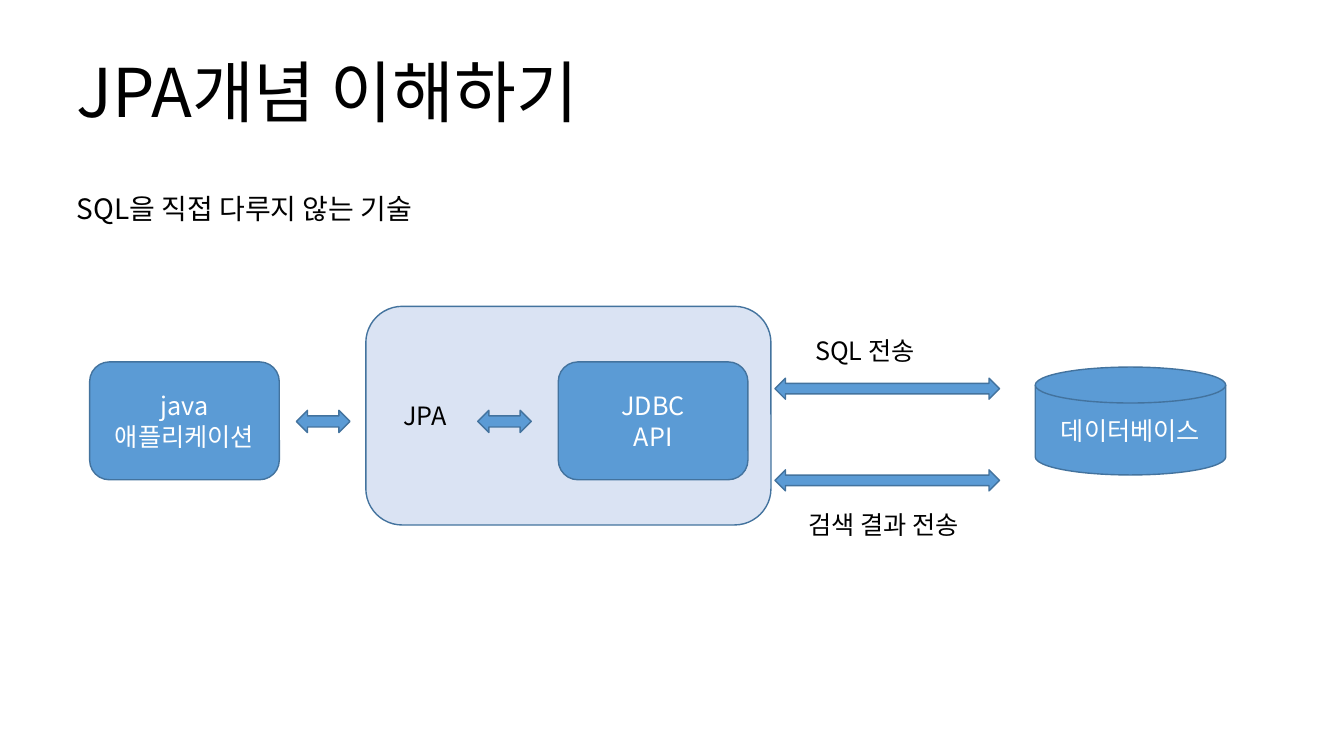
from lxml.etree import SubElement
from pptx import Presentation
from pptx.dml.color import RGBColor
from pptx.enum.shapes import MSO_SHAPE
from pptx.enum.text import MSO_ANCHOR, PP_ALIGN
from pptx.oxml.ns import qn
from pptx.util import Cm, Pt

FONT = "Noto Sans CJK KR"
COLORS = {
    "blue": "5B9BD5",
    "edge": "43739E",
    "pale": "DAE3F3",
    "white": "FFFFFF",
    "black": "000000",
}


def color(name):
    return RGBColor.from_string(COLORS[name])


def write(shape, text, size, ink, align, anchor, space=1.0):
    frame = shape.text_frame
    frame.word_wrap = True
    frame.vertical_anchor = anchor
    frame.text = text
    for para in frame.paragraphs:
        para.alignment = align
        para.line_spacing = space
        font = para.font
        font.name = FONT
        font.size = Pt(size)
        font.color.rgb = color(ink)
        # Hangul takes the East Asian typeface
        props = para._p.pPr.find(qn("a:defRPr"))
        SubElement(props, qn("a:ea"), typeface=FONT)


def label(slide, box, text, size=18, anchor=MSO_ANCHOR.TOP, space=1.0):
    area = slide.shapes.add_textbox(*map(Cm, box))
    write(area, text, size, "black", PP_ALIGN.LEFT, anchor, space)


def block(slide, kind, box, fill="blue"):
    shape = slide.shapes.add_shape(kind, *map(Cm, box))
    shape.shadow.inherit = False
    shape.fill.solid()
    shape.fill.fore_color.rgb = color(fill)
    shape.line.color.rgb = color("edge")
    shape.line.width = Pt(1)
    return shape


def node(slide, kind, box, text):
    shape = block(slide, kind, box)
    write(shape, text, 18, "white", PP_ALIGN.CENTER, MSO_ANCHOR.MIDDLE)


def layer(slide, box, text):
    shape = block(slide, MSO_SHAPE.ROUNDED_RECTANGLE, box, "pale")
    write(shape, text, 18, "black", PP_ALIGN.LEFT, MSO_ANCHOR.MIDDLE)
    shape.text_frame.margin_left = Cm(0.68)


def main():
    deck = Presentation()
    deck.slide_width, deck.slide_height = Cm(33.87), Cm(19.05)
    slide = deck.slides.add_slide(deck.slide_layouts[6])

    # Heading
    label(slide, (1.68, 1.17, 29.21, 2.29), "JPA개념 이해하기",
          48, MSO_ANCHOR.BOTTOM, 0.9)
    label(slide, (1.68, 4.27, 31.06, 1.55), "SQL을 직접 다루지 않는 기술",
          20, space=1.5)

    # Application, JPA layer and database
    layer(slide, (9.22, 7.72, 10.21, 5.51), "JPA")
    for left, text in ((2.26, "java\n애플리케이션"), (14.07, "JDBC\nAPI")):
        node(slide, MSO_SHAPE.ROUNDED_RECTANGLE, (left, 9.12, 4.78, 2.97), text)
    node(slide, MSO_SHAPE.FLOWCHART_MAGNETIC_DISK,
         (26.09, 9.25, 4.8, 2.72), "데이터베이스")

    # Arrows: short between the parts, long to the database
    for left in (7.47, 12.04):
        block(slide, MSO_SHAPE.LEFT_RIGHT_ARROW, (left, 10.34, 1.35, 0.56))
    for top in (9.53, 11.84):
        block(slide, MSO_SHAPE.LEFT_RIGHT_ARROW, (19.53, top, 5.66, 0.53))

    # Arrow labels
    label(slide, (20.29, 8.33, 4.11, 1.02), "SQL 전송")
    label(slide, (20.12, 12.7, 5.13, 1.02), "검색 결과 전송")

    deck.save("out.pptx")


main()
